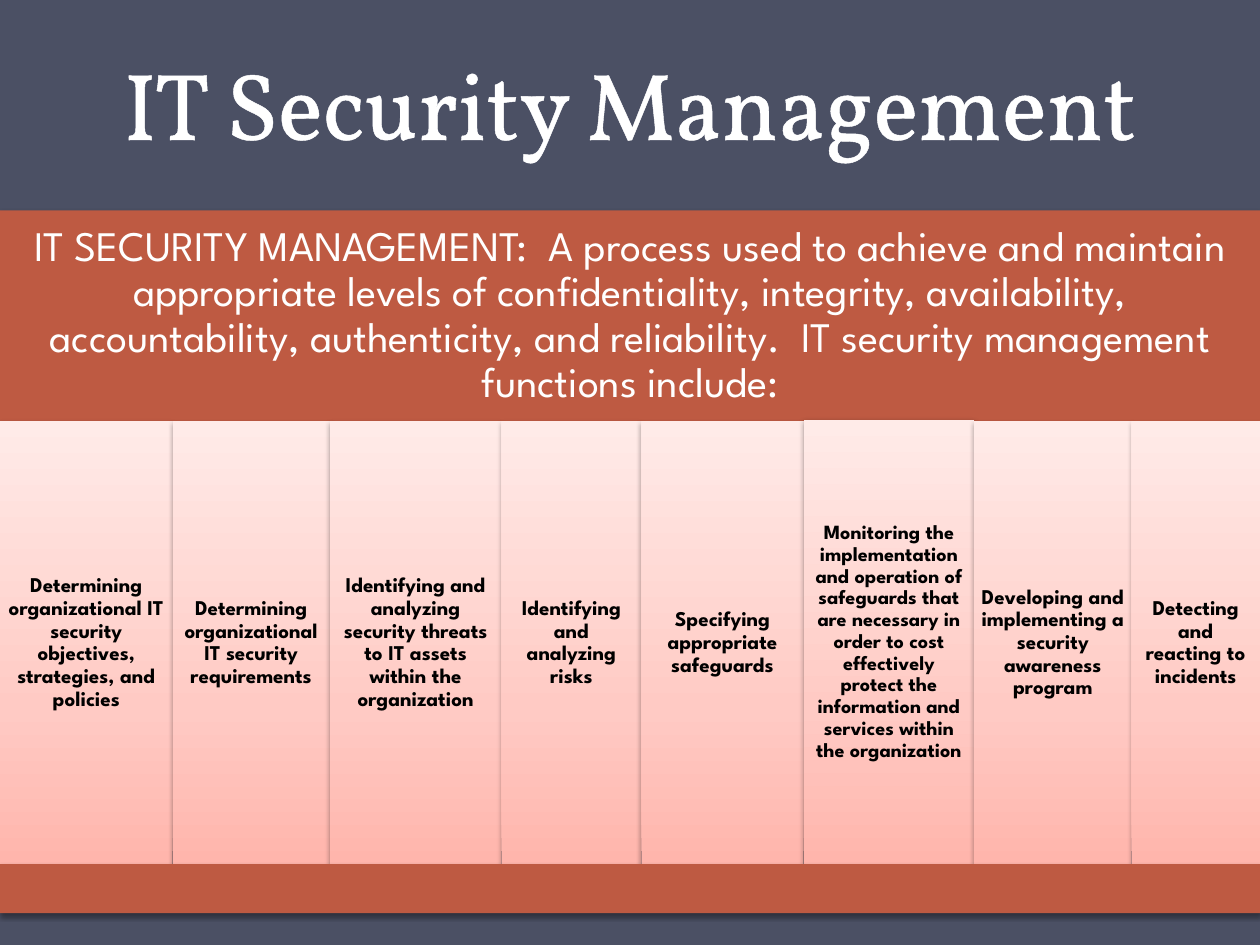
import copy

import pptx
import pptx.dml.color
import pptx.enum.shapes
import pptx.enum.text
import pptx.oxml
import pptx.oxml.ns
import pptx.util
from pptx.util import Cm, Pt

NS = pptx.oxml.ns.nsdecls("a")
QN = pptx.oxml.ns.qn
ANCHOR = pptx.enum.text.MSO_ANCHOR
SANS, SERIF = "League Spartan", "Vollkorn"
RUST, WHITE, BLACK = "BE5A42", "FFFFFF", "000000"
BLUSH = [(0, "FFB5AC"), (0.35, "FFCAC4"), (1, "FFEBE8")]

INTRO = (
    "IT SECURITY MANAGEMENT:  A process used to achieve and maintain "
    "appropriate levels of confidentiality, integrity, availability, "
    "accountability, authenticity, and reliability.  IT security management "
    "functions include:"
)
# Left edge in cm, text, size in points, rise above the row in cm
TASKS = [
    (0, "Determining organizational IT security objectives, strategies, and policies", 12, 0),
    (3.48, "Determining organizational IT security requirements", 12, 0),
    (6.65, "Identifying and analyzing security threats to IT assets within the organization", 12, 0),
    (10.11, "Identifying and analyzing risks", 12, 0),
    (12.93, "Specifying appropriate safeguards", 12, 0),
    (16.2, "Monitoring the implementation and operation of safeguards that are "
     "necessary in order to cost effectively protect the information and "
     "services within the organization", 11.5, 0.03),
    (19.64, "Developing and implementing a security awareness program", 12, 0),
    (22.81, "Detecting and reacting to incidents", 12, 0),
]


def color(code):
    return pptx.dml.color.RGBColor.from_string(code)


def write(shape, text, size, face, tint, anchor, inset, bold=False, space=0.9):
    frame = shape.text_frame
    frame.word_wrap = True
    frame.vertical_anchor = anchor
    frame.margin_left = frame.margin_right = Cm(inset)
    frame.margin_top = frame.margin_bottom = Cm(inset)
    frame.text = text
    para = frame.paragraphs[0]
    para.alignment = pptx.enum.text.PP_ALIGN.CENTER
    para.line_spacing = space
    font = para.runs[0].font
    font.size, font.name, font.bold = Pt(size), face, bold
    font.color.rgb = color(tint)


def block(slide, left, top, width, height):
    """Add a borderless rectangle with a soft shadow below it."""
    shape = slide.shapes.add_shape(
        pptx.enum.shapes.MSO_SHAPE.RECTANGLE,
        Cm(left), Cm(top), Cm(width), Cm(height))
    shape.fill.solid()
    shape.fill.fore_color.rgb = color(RUST)
    shape.line.fill.background()
    shape.shadow.inherit = False
    shade = pptx.oxml.parse_xml(
        f'<a:outerShdw {NS} blurRad="{Pt(3.1)}" dist="{Pt(1.6)}" dir="5400000" '
        f'rotWithShape="0"><a:srgbClr val="{BLACK}"><a:alpha val="38000"/>'
        '</a:srgbClr></a:outerShdw>')
    shape.element.spPr.find(QN("a:effectLst")).append(shade)
    return shape


def blend(shape):
    """Fill the shape with the blush gradient, darkest at the bottom."""
    fill = shape.fill
    fill.gradient()
    fill.gradient_angle = 90
    stops = next(shape.element.spPr.iter(QN("a:gsLst")))
    stops.append(copy.deepcopy(stops[-1]))
    for stop, (place, code) in zip(fill.gradient_stops, BLUSH):
        stop.position = place
        stop.color.rgb = color(code)


def title(slide, left, top, width, height):
    box = slide.shapes.add_textbox(Cm(left), Cm(top), Cm(width), Cm(height))
    write(box, "IT Security Management", 54, SERIF, WHITE, ANCHOR.BOTTOM,
          0.13, space=Pt(58))
    edge = pptx.oxml.parse_xml(
        f'<a:ln {NS} w="{Pt(1.45)}"><a:solidFill><a:srgbClr val="{WHITE}"/>'
        '</a:solidFill></a:ln>')
    box.text_frame.paragraphs[0].runs[0].font._element.insert(0, edge)


def intro(slide, left, top, width, height):
    band = block(slide, left, top, width, height)
    write(band, INTRO, 24, SANS, WHITE, ANCHOR.MIDDLE, 0.25)


def tasks(slide, left, top, width, height):
    ends = [task[0] for task in TASKS[1:]] + [width]
    for (start, text, size, rise), end in zip(TASKS, ends):
        panel = block(slide, left + start, top - rise, end - start, height + rise)
        blend(panel)
        write(panel, text, size, SANS, BLACK, ANCHOR.MIDDLE, 0.13, bold=True)


def main():
    deck = pptx.Presentation()
    deck.slide_width, deck.slide_height = Cm(25.4), Cm(19.05)
    slide = deck.slides.add_slide(deck.slide_layouts[6])
    back = slide.background.fill
    back.solid()
    back.fore_color.rgb = color("4B5064")

    title(slide, 0, 0, 25.4, 3.33)
    intro(slide, 0, 4.24, 25.4, 4.26)
    tasks(slide, 0, 8.49, 25.4, 8.93)
    block(slide, 0, 17.42, 25.4, 0.99)
    deck.save("out.pptx")


if __name__ == "__main__":
    main()
